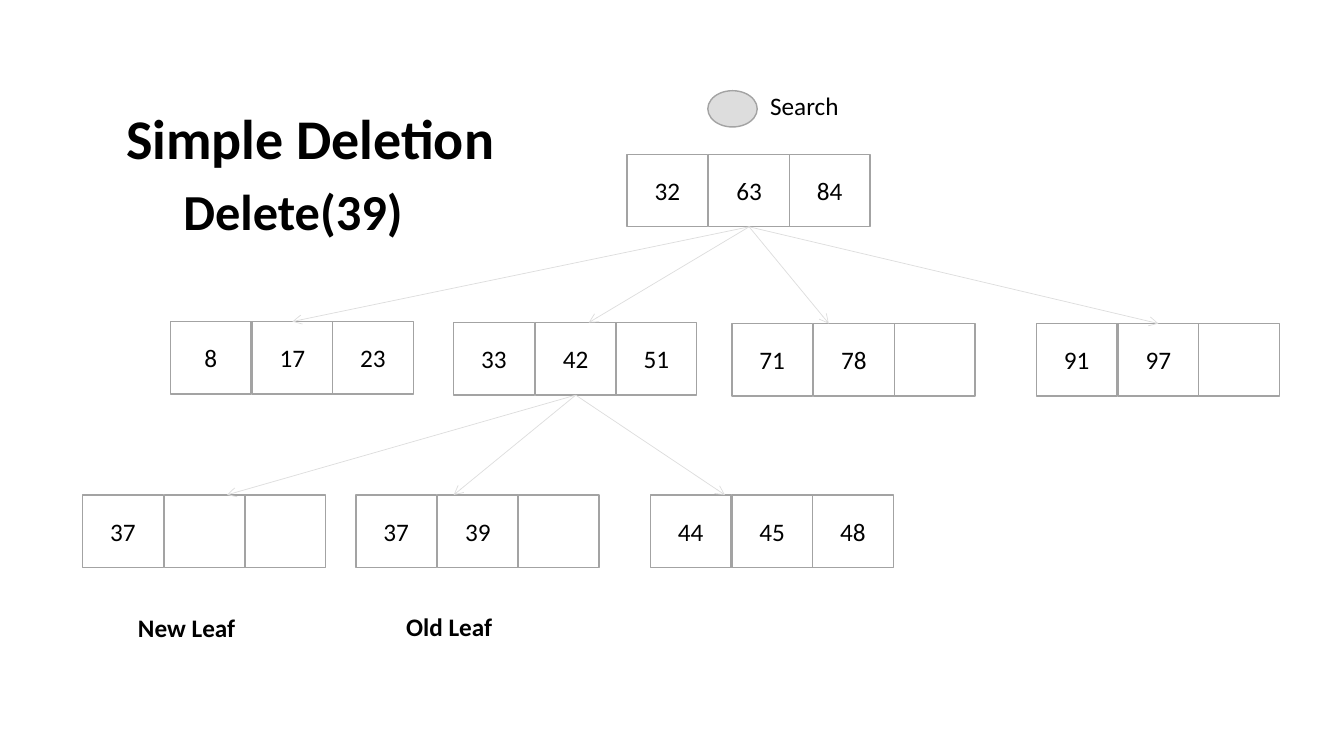
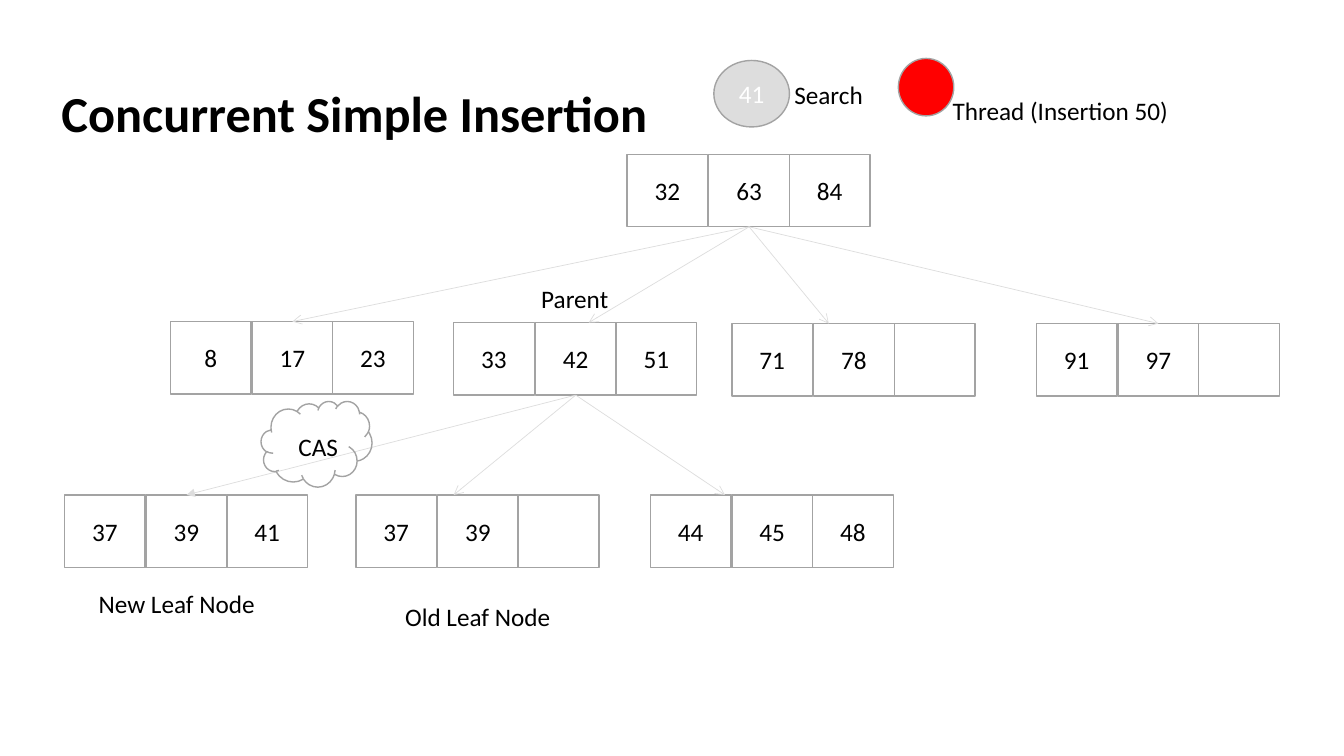
from lxml import etree
from pptx import Presentation
from pptx import util as u
from pptx.dml.color import RGBColor
from pptx.enum import shapes, text
from pptx.oxml.ns import qn

PX = 9144  # EMU; 100 px to the inch
FONT = "Calibri"
COLORS = {"text": "000000", "outline": "A3A3A3", "arrow": "DDDDDD",
          "search": "DDDDDD", "thread": "FF0000", "light": "FFFFFF"}
CELL_W, CELL_H = 80, 72
CELL_X = (0, 81, 161)
BODY_SIZE = 18
OVAL, CLOUD = shapes.MSO_SHAPE.OVAL, shapes.MSO_SHAPE.CLOUD

# name: (left, top, keys)
TREE = {
    "root": (622, 153, ("32", "63", "84")),
    "first": (169, 319, ("8", "17", "23")),
    "parent": (450, 320, ("33", "42", "51")),
    "third": (726, 321, ("71", "78", "")),
    "fourth": (1028, 321, ("91", "97", "")),
    "old leaf": (353, 491, ("37", "39", "")),
    "right leaf": (645, 491, ("44", "45", "48")),
}
# (from, to, tip offset from the middle of the node, arrowhead)
TREE_ARROWS = [
    ("root", "first", 0, "arrow"),
    ("root", "parent", 13, "arrow"),
    ("root", "third", -25, "arrow"),
    ("root", "fourth", 0, "arrow"),
    ("parent", "old leaf", -24, "arrow"),
    ("parent", "right leaf", -47, "arrow"),
]
# labels: (text, box, size, bold)
# marks: (shape, box, fill, text, text colour, (left, top) inset)
SLIDES = [
    {
        "title": ("Simple Deletion", (115, 98, 402, 77), 40),
        "new leaf": (82, 491, ("37", "", "")),
        "new arrow": ("parent", "new leaf", 22, "arrow"),
        "marks": [(OVAL, (702, 90, 49, 36), "search", "", "text", (0, 0))],
        "labels": [
            ("Delete(39)", (172, 174, 243, 71), 36, True),
            ("Search", (754, 85, 90, 40), BODY_SIZE, False),
            ("New Leaf", (127, 603, 118, 40), BODY_SIZE, True),
            ("Old Leaf", (393, 602, 106, 40), BODY_SIZE, True),
        ],
    },
    {
        "title": ("Concurrent Simple Insertion", (51, 76, 645, 71), 36),
        "new leaf": (64, 491, ("37", "39", "41")),
        "new arrow": ("parent", "new leaf", 0, "triangle"),
        "marks": [
            (OVAL, (708, 60, 75, 66), "search", "41", "light", (0, 0)),
            (OVAL, (891, 58, 55, 57), "thread", "", "text", (0, 0)),
            (CLOUD, (259, 398, 110, 85), None, "CAS", "text", (11, 8)),
        ],
        "labels": [
            ("Search", (778, 74, 89, 40), BODY_SIZE, False),
            ("Thread (Insertion 50)", (935, 90, 237, 40), BODY_SIZE, False),
            ("Parent", (527, 276, 87, 40), BODY_SIZE, False),
            ("New Leaf Node", (88, 579, 177, 40), BODY_SIZE, False),
            ("Old Leaf Node", (392, 592, 166, 40), BODY_SIZE, False),
        ],
    },
]


def emu(*lengths):
    return [u.Emu(n * PX) for n in lengths]


def rgb(name):
    return RGBColor.from_string(COLORS[name])


def write(sp, words, size=BODY_SIZE, bold=False, color="text", centred=False):
    """Put one unwrapped line of text into a shape."""
    tf = sp.text_frame
    tf.word_wrap = False
    tf.auto_size = text.MSO_AUTO_SIZE.NONE
    tf.vertical_anchor = text.MSO_ANCHOR.MIDDLE if centred else text.MSO_ANCHOR.TOP
    p = tf.paragraphs[0]
    p.alignment = text.PP_ALIGN.CENTER if centred else text.PP_ALIGN.LEFT
    r = p.add_run()
    r.text = words
    r.font.name, r.font.size, r.font.bold = FONT, u.Pt(size), bold
    r.font.color.rgb = rgb(color)


def add_outlined(s, kind, box, fill=None, words="", color="text", inset=(0, 0)):
    sp = s.shapes.add_shape(kind, *emu(*box))
    sp.shadow.inherit = False
    if fill:
        sp.fill.solid()
        sp.fill.fore_color.rgb = rgb(fill)
    else:
        sp.fill.background()
    sp.line.color.rgb = rgb("outline")
    sp.line.width = u.Pt(1)
    if words:
        tf = sp.text_frame
        tf.margin_left, tf.margin_top = emu(*inset)
        tf.margin_right = tf.margin_bottom = 0
        write(sp, words, color=color, centred=True)
    return sp


def add_node(s, left, top, keys):
    """Draw a row of key cells and return the middle one."""
    cells = [add_outlined(s, shapes.MSO_SHAPE.RECTANGLE,
                          (left + dx, top, CELL_W, CELL_H), words=key)
             for dx, key in zip(CELL_X, keys)]
    return cells[1]


def add_arrow(s, start, end, offset, head):
    tip_x = end.left + end.width // 2 + offset * PX
    c = s.shapes.add_connector(shapes.MSO_CONNECTOR.STRAIGHT,
                               start.left, start.top, tip_x, end.top)
    c.begin_connect(start, 2)
    if offset == 0:
        c.end_connect(end, 0)
    c.line.color.rgb = rgb("arrow")
    c.line.width = u.Pt(0.5)
    sp_pr = c._element.spPr
    etree.SubElement(sp_pr.find(qn("a:ln")), qn("a:tailEnd"), type=head)
    etree.SubElement(sp_pr, qn("a:effectLst"))


def add_title(s, words, box, size):
    title = s.shapes.title
    title.left, title.top, title.width, title.height = emu(*box)
    write(title, words, size, bold=True)


def add_label(s, words, box, size, bold):
    write(s.shapes.add_textbox(*emu(*box)), words, size, bold)


def build_slide(prs, content):
    s = prs.slides.add_slide(prs.slide_layouts[5])
    add_title(s, *content["title"])
    nodes = {**TREE, "new leaf": content["new leaf"]}
    middles = {name: add_node(s, *node) for name, node in nodes.items()}
    for start, end, offset, head in TREE_ARROWS + [content["new arrow"]]:
        add_arrow(s, middles[start], middles[end], offset, head)
    for mark in content["marks"]:
        add_outlined(s, *mark)
    for label in content["labels"]:
        add_label(s, *label)


def main():
    prs = Presentation()
    prs.slide_width, prs.slide_height = emu(1333, 750)
    for content in SLIDES:
        build_slide(prs, content)
    prs.save("out.pptx")


if __name__ == "__main__":
    main()
